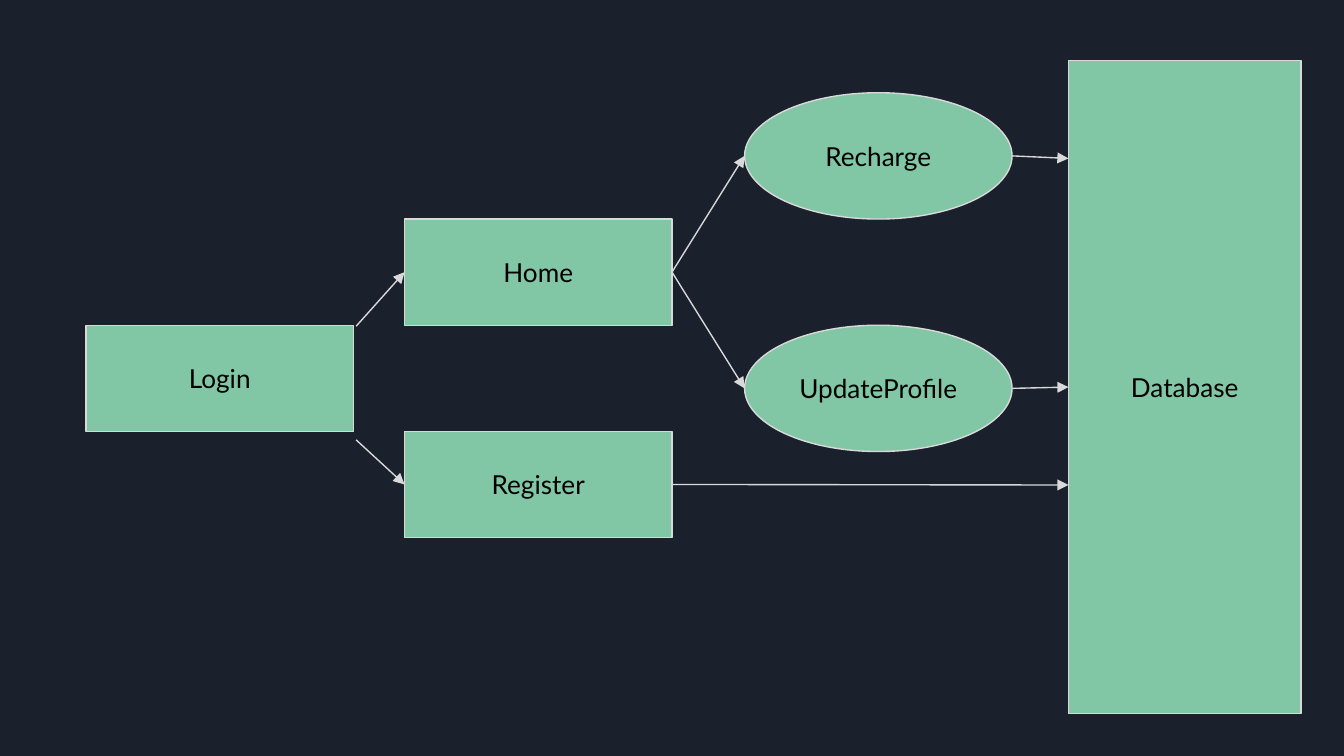
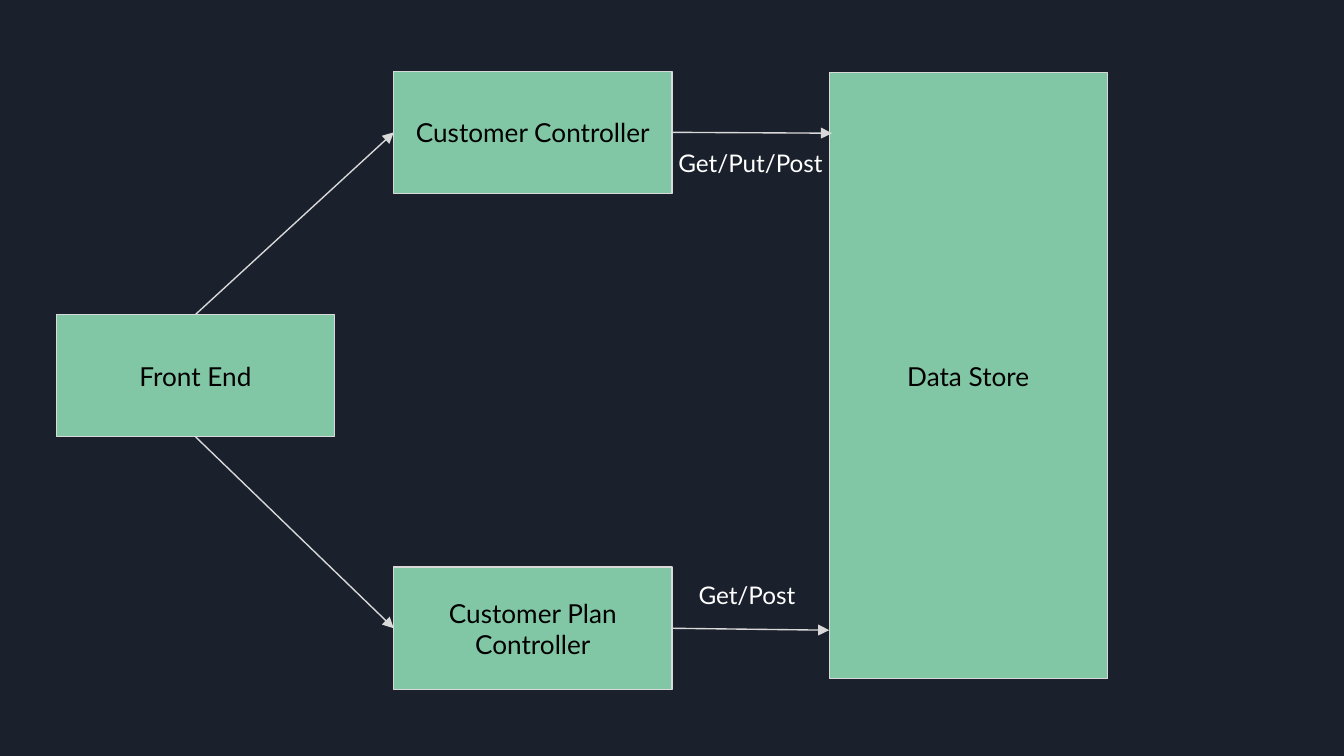
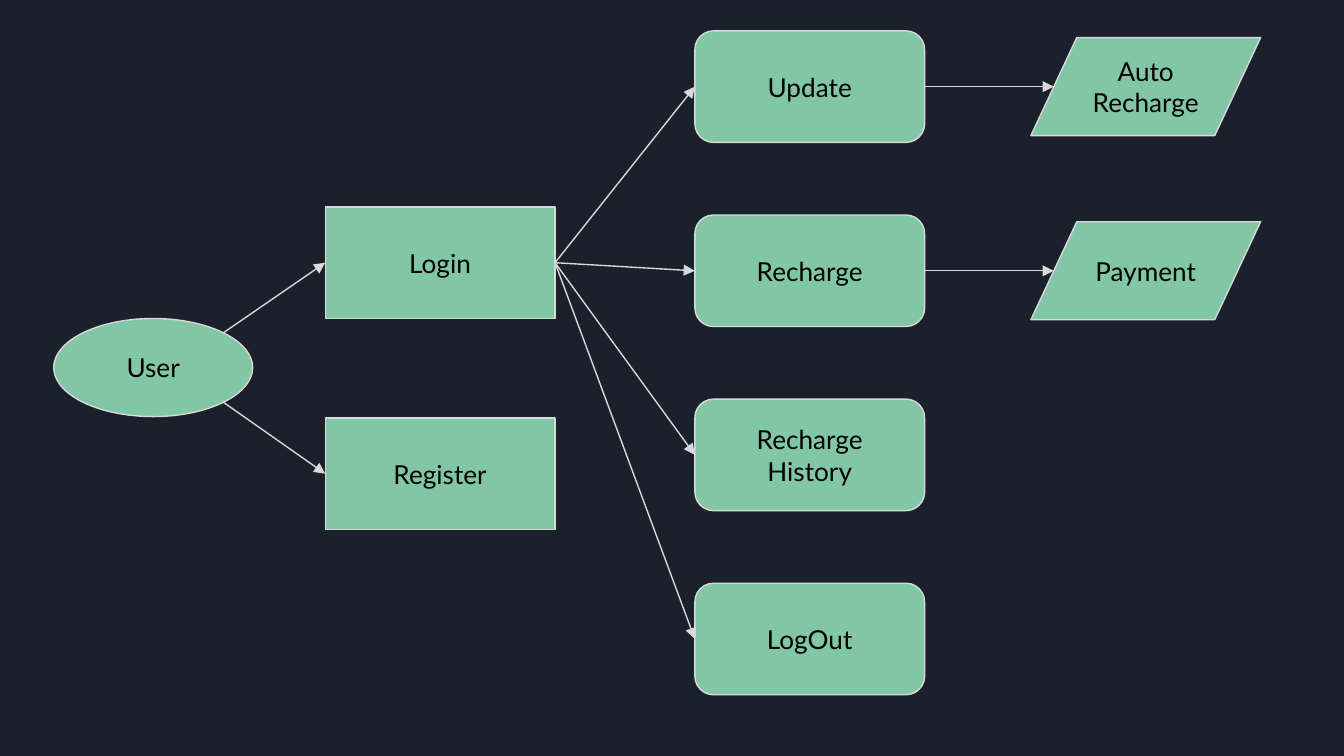
from dataclasses import dataclass

from lxml import etree
from pptx import Presentation
from pptx import util as u
from pptx.dml.color import RGBColor
from pptx.enum import shapes, text
from pptx.oxml import ns

# Shared look
NAVY = RGBColor(0x1B, 0x21, 0x2C)
MINT = RGBColor(0x82, 0xC7, 0xA5)
SILVER = RGBColor(0xD9, 0xD9, 0xD9)
BLACK = RGBColor(0, 0, 0)
WHITE = RGBColor(0xFF, 0xFF, 0xFF)
FONT = "Lato"
LINE_WIDTH = u.Pt(0.75)
INSET = u.Inches(0.1)

# Grid of square cells: 100 columns by 56.25 rows
SLIDE_WIDTH = u.Inches(10)
COLUMNS, ROWS = 100, 56.25
CELL = SLIDE_WIDTH / COLUMNS

KIND = shapes.MSO_SHAPE
BOX, OVAL, ROUNDED, DATA = (KIND.RECTANGLE, KIND.OVAL,
                            KIND.ROUNDED_RECTANGLE, KIND.FLOWCHART_DATA)

# Places on a node, as shares of its width and height
TOP, LEFT, BOTTOM, RIGHT = (0.5, 0), (0, 0.5), (0.5, 1), (1, 0.5)
SITES = {TOP: 0, LEFT: 1, BOTTOM: 2, RIGHT: 3}
OVAL_UPPER_RIGHT, OVAL_LOWER_RIGHT = (0.85, 0.15), (0.85, 0.85)
DATA_LEFT = (0.1, 0.5)


@dataclass(frozen=True)
class Area:
    column: float
    row: float
    columns: float
    rows: float

    def box(self) -> list[int]:
        return [grid(n) for n in (self.column, self.row, self.columns, self.rows)]


@dataclass(frozen=True)
class Node:
    label: str
    area: Area
    kind: KIND = BOX


@dataclass(frozen=True)
class Link:
    source: str
    target: str
    leave: tuple[float, float] = RIGHT
    enter: tuple[float, float] = LEFT


@dataclass(frozen=True)
class Caption:
    label: str
    area: Area


@dataclass(frozen=True)
class Diagram:
    nodes: list[Node]
    links: list[Link]
    captions: tuple[Caption, ...] = ()


def grid(cells: float) -> int:
    return round(cells * CELL)


def write(shape, label: str, size: int, color: RGBColor) -> None:
    frame = shape.text_frame
    frame.margin_left = frame.margin_right = INSET
    frame.margin_top = frame.margin_bottom = INSET
    run = frame.paragraphs[0].add_run()
    run.text = label
    run.font.name, run.font.size = FONT, u.Pt(size)
    run.font.color.rgb = color


def draw_node(slide, node: Node):
    shape = slide.shapes.add_shape(node.kind, *node.area.box())
    shape.shadow.inherit = False
    shape.fill.solid()
    shape.fill.fore_color.rgb = MINT
    shape.line.color.rgb, shape.line.width = SILVER, LINE_WIDTH
    write(shape, node.label, 14, BLACK)
    shape.text_frame.word_wrap = True
    shape.text_frame.vertical_anchor = text.MSO_ANCHOR.MIDDLE
    shape.text_frame.paragraphs[0].alignment = text.PP_ALIGN.CENTER
    return shape


def point(shape, place: tuple[float, float]) -> tuple[int, int]:
    return (round(shape.left + place[0] * shape.width),
            round(shape.top + place[1] * shape.height))


def draw_link(slide, source, target, link: Link) -> None:
    arrow = slide.shapes.add_connector(
        shapes.MSO_CONNECTOR.STRAIGHT,
        *point(source, link.leave), *point(target, link.enter))
    for join, shape, place in ((arrow.begin_connect, source, link.leave),
                               (arrow.end_connect, target, link.enter)):
        if place in SITES and shape.auto_shape_type in (BOX, ROUNDED):
            join(shape, SITES[place])
    arrow.line.color.rgb, arrow.line.width = SILVER, LINE_WIDTH
    outline = arrow.line._get_or_add_ln()
    etree.SubElement(outline, ns.qn("a:tailEnd"), type="triangle")
    etree.SubElement(arrow._element.spPr, ns.qn("a:effectLst"))


def draw_caption(slide, caption: Caption) -> None:
    box = slide.shapes.add_textbox(*caption.area.box())
    box.text_frame.word_wrap = False
    write(box, caption.label, 13, WHITE)


def draw_diagram(deck, diagram: Diagram) -> None:
    slide = deck.slides.add_slide(deck.slide_layouts[6])
    drawn = {node.label: draw_node(slide, node) for node in diagram.nodes}
    for link in diagram.links:
        draw_link(slide, drawn[link.source], drawn[link.target], link)
    for caption in diagram.captions:
        draw_caption(slide, caption)


def screen_flow() -> Diagram:
    page, action = (19.9, 7.9), (19.9, 9.4)
    login_row = 24.2
    return Diagram(
        nodes=[
            Node("Login", Area(6.4, login_row, *page)),
            Node("Home", Area(30.1, login_row - page[1], *page)),
            Node("Register", Area(30.1, login_row + page[1], *page)),
            Node("Recharge", Area(55.4, 6.9, *action), OVAL),
            Node("UpdateProfile", Area(55.4, login_row, *action), OVAL),
            Node("Database", Area(79.5, 4.5, 17.3, 48.6)),
        ],
        links=[
            Link("Login", "Home", leave=(1.01, 0.01)),
            Link("Login", "Register", leave=(1.01, 1.08)),
            Link("Home", "Recharge"),
            Link("Home", "UpdateProfile"),
            Link("Recharge", "Database", enter=(0, 0.15)),
            Link("UpdateProfile", "Database"),
            Link("Register", "Database", enter=(0, 0.65)),
        ])


def service_layers() -> Diagram:
    service = (20.7, 9.1)
    return Diagram(
        nodes=[
            Node("Front End", Area(4.2, 23.4, *service)),
            Node("Customer Controller", Area(29.3, 5.3, *service)),
            Node("Customer Plan Controller", Area(29.3, 42.2, *service)),
            Node("Data Store", Area(61.7, 5.4, service[0], 45.1)),
        ],
        links=[
            Link("Front End", "Customer Controller", leave=TOP),
            Link("Front End", "Customer Plan Controller", leave=BOTTOM),
            Link("Customer Controller", "Data Store", enter=(0.01, 0.1)),
            Link("Customer Plan Controller", "Data Store", enter=(0, 0.92)),
        ],
        captions=(
            Caption("Get/Put/Post", Area(49.5, 10, 12.7, 4.2)),
            Caption("Get/Post", Area(51, 42.2, 9.6, 4.2)),
        ))


def user_journey() -> Diagram:
    step, result = (17.1, 8.3), (17.1, 7.3)
    first_row, pitch = 2.3, 13.7
    tasks = ["Update", "Recharge", "Recharge History", "LogOut"]
    results = ["Auto Recharge", "Payment"]
    return Diagram(
        nodes=[
            Node("User", Area(4, 23.7, 14.8, 7.3), OVAL),
            Node("Login", Area(24.2, 15.4, *step)),
            Node("Register", Area(24.2, 31.1, *step)),
            *(Node(task, Area(51.7, first_row + i * pitch, *step), ROUNDED)
              for i, task in enumerate(tasks)),
            *(Node(name, Area(76.7, first_row + 0.5 + i * pitch, *result), DATA)
              for i, name in enumerate(results)),
        ],
        links=[
            Link("User", "Login", leave=OVAL_UPPER_RIGHT),
            Link("User", "Register", leave=OVAL_LOWER_RIGHT),
            *(Link("Login", task) for task in tasks),
            *(Link(task, name, enter=DATA_LEFT)
              for task, name in zip(tasks, results)),
        ])


def main() -> None:
    deck = Presentation()
    deck.slide_width, deck.slide_height = SLIDE_WIDTH, grid(ROWS)
    backdrop = deck.slide_master.background.fill
    backdrop.solid()
    backdrop.fore_color.rgb = NAVY
    for diagram in (screen_flow(), service_layers(), user_journey()):
        draw_diagram(deck, diagram)
    deck.save("out.pptx")


if __name__ == "__main__":
    main()
